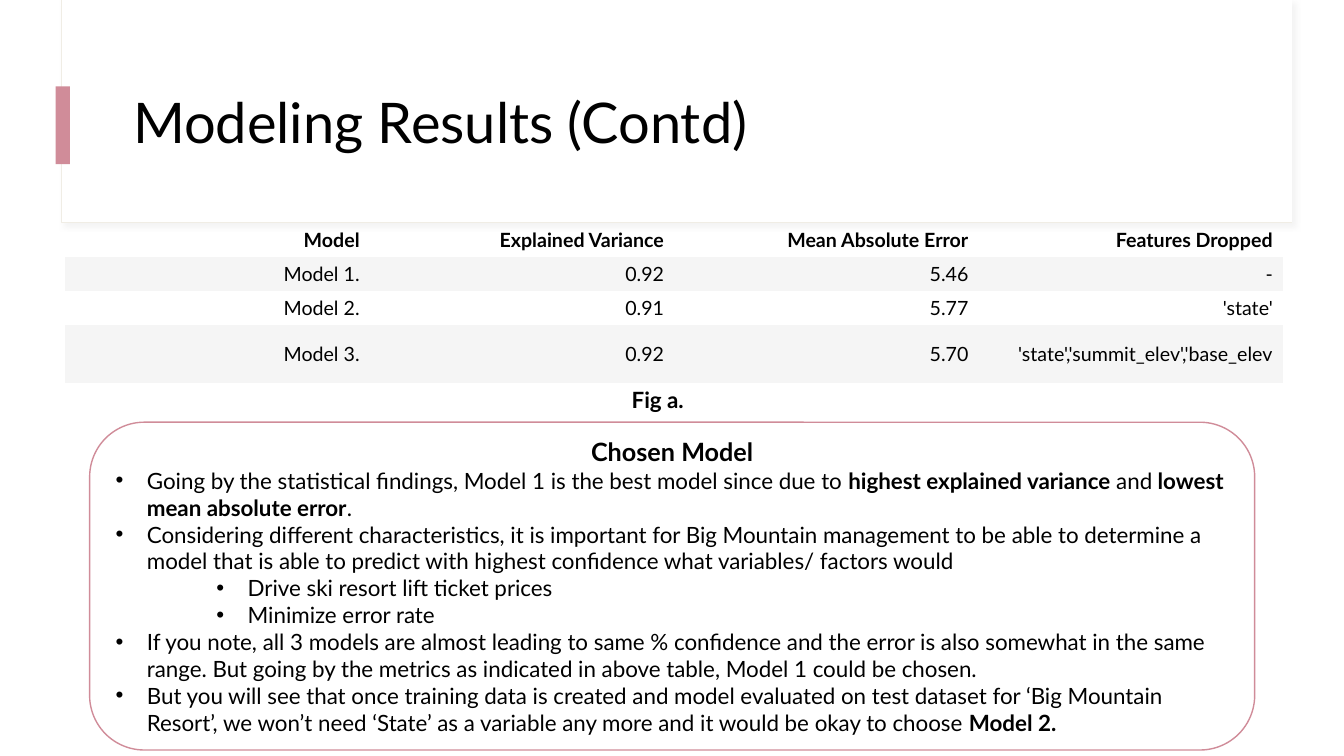
from lxml.etree import SubElement as Sub
from pptx import Presentation
from pptx.dml.color import RGBColor
from pptx.enum.shapes import MSO_SHAPE as Kind
from pptx.enum.text import MSO_ANCHOR as Anchor, MSO_AUTO_SIZE as Fit, PP_ALIGN as Align
from pptx.oxml import parse_xml
from pptx.oxml.ns import nsdecls, qn
from pptx.util import Cm, Pt

BLACK = RGBColor(0, 0, 0)
WHITE = RGBColor(0xFF, 0xFF, 0xFF)
ROSE = RGBColor(0xD0, 0x8C, 0x99)
CREAM = RGBColor(0xF0, 0xED, 0xE5)
GREY = RGBColor(0xF5, 0xF5, 0xF5)
PLAIN = "{2D5ABB26-0587-4C30-8999-92F81FD0307C}"
HANG = 0.79

ROWS = [
    ("Model", "Explained Variance", "Mean Absolute Error", "Features Dropped"),
    ("Model 1.", "0.92", "5.46", "-"),
    ("Model 2.", "0.91", "5.77", "'state'"),
    ("Model 3.", "0.92", "5.70", "'state','summit_elev','base_elev"),
]
HEIGHTS = (0.86, 0.86, 0.86, 1.47)

# Each point: outline level, then its runs as (text, bold)
POINTS = [
    (0, [("Going by the statistical findings, Model 1 is the best model since due to ", False),
         ("highest explained variance", True), (" and", False),
         (" lowest mean absolute error", True), (".", False)]),
    (0, [("Considering different characteristics, it is important for Big Mountain management "
          "to be able to determine a model that is able to predict with highest confidence "
          "what variables/ factors would", False)]),
    (2, [("Drive ski resort lift ticket prices", False)]),
    (2, [("Minimize error rate", False)]),
    (0, [("If you note, all 3 models are almost leading to same % confidence and the error is "
          "also somewhat in the same range. But going by the metrics as indicated in above "
          "table, Model 1 could be chosen.", False)]),
    (0, [("But you will see that once training data is created and model evaluated on test "
          "dataset for ‘Big Mountain Resort’, we won’t need ‘State’ as a variable any more "
          "and it would be okay to choose ", False), ("Model 2.", True)]),
]


class Page:
    """Style and current slide."""

    def __init__(self, slide, font="Lato", ink=BLACK):
        self.slide, self.font, self.ink = slide, font, ink

    def add_runs(self, para, runs, size, align=Align.LEFT):
        para.alignment = align
        for text, bold in runs:
            run = para.add_run()
            run.text = text
            run.font.name, run.font.size = self.font, Pt(size)
            run.font.bold, run.font.color.rgb = bold, self.ink

    def shape(self, kind, box, fill, line=None, width=1):
        item = self.slide.shapes.add_shape(kind, *map(Cm, box))
        item.shadow.inherit = False
        item.fill.solid()
        item.fill.fore_color.rgb = fill
        if line is None:
            item.line.fill.background()
        else:
            item.line.color.rgb, item.line.width = line, Pt(width)
        return item

    def shade(self, item):
        """Give the shape a soft, pale outer shadow."""
        glow = item.element.spPr.find(qn("a:effectLst"))
        glow.append(parse_xml(
            f'<a:outerShdw {nsdecls("a")} blurRad="50800" dist="38100" dir="2700000">'
            '<a:srgbClr val="D9D9D9"><a:alpha val="30000"/></a:srgbClr></a:outerShdw>'))

    def title(self, text, box):
        item = self.slide.shapes.title
        item.left, item.top, item.width, item.height = map(Cm, box)
        frame = item.text_frame
        frame.auto_size, frame.vertical_anchor = Fit.NONE, Anchor.MIDDLE
        para = frame.paragraphs[0]
        para.line_spacing = 0.9
        self.add_runs(para, [(text, False)], 40)
        self.slide.shapes.element.append(item.element)

    def label(self, text, box, size):
        frame = self.slide.shapes.add_textbox(*map(Cm, box)).text_frame
        frame.word_wrap = True
        self.add_runs(frame.paragraphs[0], [(text, True)], size)

    def bullet(self, para, level):
        para.level = level
        props = para._p.get_or_add_pPr()
        props.set("marL", str(Cm(HANG + 1.27 * level)))
        props.set("indent", str(-Cm(HANG)))
        Sub(props, qn("a:buFont"), typeface="Arial")
        Sub(props, qn("a:buChar"), char="•")

    def panel(self, head, points, box):
        item = self.shape(Kind.ROUNDED_RECTANGLE, box, WHITE, ROSE)
        frame = item.text_frame
        frame.word_wrap, frame.vertical_anchor = True, Anchor.MIDDLE
        self.add_runs(frame.paragraphs[0], [(head, True)], 18, Align.CENTER)
        for level, runs in points:
            para = frame.add_paragraph()
            self.add_runs(para, runs, 16)
            self.bullet(para, level)

    def table(self, rows, heights, box):
        item = self.slide.shapes.add_table(len(rows), len(rows[0]), *map(Cm, box))
        grid = item.table
        grid.first_row = grid.horz_banding = False
        next(item.element.iter(qn("a:tableStyleId"))).text = PLAIN
        for r, (texts, height) in enumerate(zip(rows, heights)):
            grid.rows[r].height = Cm(height)
            for c, text in enumerate(texts):
                cell = grid.cell(r, c)
                cell.vertical_anchor = Anchor.MIDDLE
                if r % 2:
                    cell.fill.solid()
                    cell.fill.fore_color.rgb = GREY
                else:
                    cell.fill.background()
                self.add_runs(cell.text_frame.paragraphs[0], [(text, r == 0)], 14, Align.RIGHT)


def main():
    deck = Presentation()
    deck.slide_width, deck.slide_height = Cm(33.87), Cm(19.05)
    page = Page(deck.slides.add_slide(deck.slide_layouts[5]))
    page.shade(page.shape(Kind.RECTANGLE, (1.55, 0, 31.01, 5.61), WHITE, CREAM, 0.75))
    page.shape(Kind.RECTANGLE, (1.57, 0, 30.99, 5.59), WHITE)
    page.shape(Kind.RECTANGLE, (1.4, 2.18, 0.36, 1.96), ROSE)
    page.title("Modeling Results (Contd)", (3.1, 1.52, 28.24, 3.28))
    page.panel("Chosen Model", POINTS, (2.26, 10.64, 29.36, 8.26))
    page.table(ROWS, HEIGHTS, (1.65, 5.61, 30.68, sum(HEIGHTS)))
    page.label("Fig a.", (15.67, 9.6, 3.66, 0.94), 16)
    deck.save("out.pptx")


if __name__ == "__main__":
    main()
